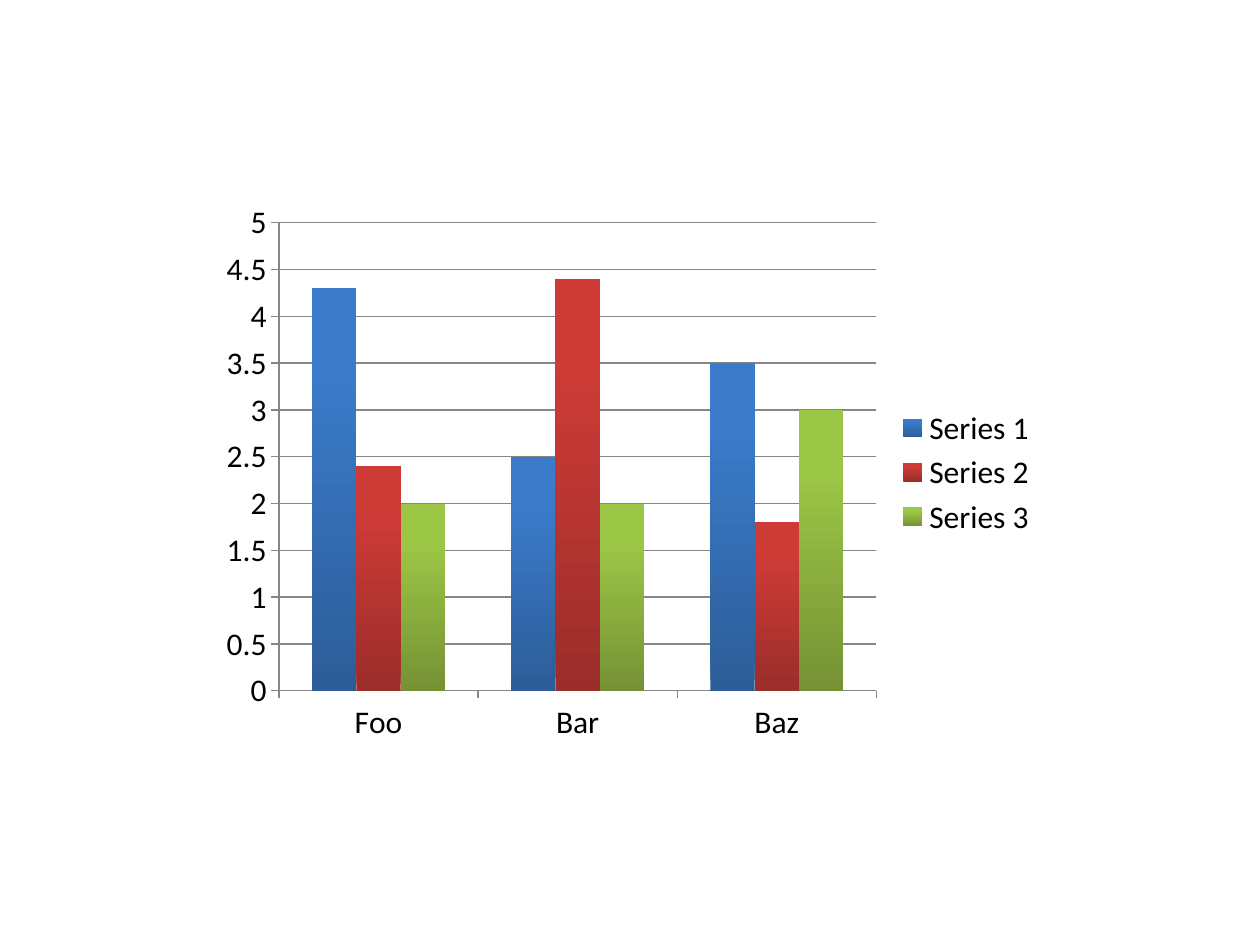
import pptx
import pptx.chart.data
import pptx.dml.color
import pptx.enum.chart
import pptx.util

Cm = pptx.util.Cm
Pt = pptx.util.Pt
RGB = pptx.dml.color.RGBColor
enums = pptx.enum.chart

BLACK = RGB(0x00, 0x00, 0x00)
GREY = RGB(0x86, 0x86, 0x86)
# Bar shades: (bottom, top)
BLUE = RGB(0x2C, 0x5D, 0x98), RGB(0x3B, 0x7B, 0xCA)
RED = RGB(0x9B, 0x2D, 0x2A), RGB(0xCE, 0x3B, 0x37)
GREEN = RGB(0x76, 0x92, 0x35), RGB(0x9C, 0xC7, 0x46)

GROUPS = ["Foo", "Bar", "Baz"]
SERIES = [
    ("Series 1", (4.3, 2.5, 3.5), BLUE),
    ("Series 2", (2.4, 4.4, 1.8), RED),
    ("Series 3", (2, 2, 3), GREEN),
]


def format_text(text, **style):
    """Set font attributes on any part that carries text."""
    color = style.pop("color", None)
    for name, value in style.items():
        setattr(text.font, name, value)
    if color is not None:
        text.font.color.rgb = color


class Deck:
    def __init__(self, width, height):
        self.prs = pptx.Presentation()
        self.prs.slide_width, self.prs.slide_height = width, height
        self.slide = self.prs.slides.add_slide(self.prs.slide_layouts[6])
        self.text = {"name": "Calibri", "size": Pt(18), "color": BLACK}

    def line(self, part):
        part.format.line.color.rgb = GREY
        part.format.line.width = Pt(0.75)

    def shade(self, bar, shades):
        fill = bar.format.fill
        fill.gradient()
        fill.gradient_angle = 90
        for stop, color, place in zip(fill.gradient_stops, shades, (0, 0.8)):
            stop.color.rgb = color
            stop.position = place

    def columns(self, left, top, width, height):
        data = pptx.chart.data.CategoryChartData()
        data.categories = GROUPS
        for name, values, _ in SERIES:
            data.add_series(name, values)
        chart = self.slide.shapes.add_chart(
            enums.XL_CHART_TYPE.COLUMN_CLUSTERED, left, top, width, height, data
        ).chart
        format_text(chart, **self.text)
        chart.has_title = False

        # Bars
        plot = chart.plots[0]
        plot.vary_by_categories = False
        plot.gap_width = 150
        for bar, (_, _, shades) in zip(plot.series, SERIES):
            self.shade(bar, shades)

        # Axes and grid
        for axis in (chart.category_axis, chart.value_axis):
            axis.major_tick_mark = enums.XL_TICK_MARK.OUTSIDE
            axis.minor_tick_mark = enums.XL_TICK_MARK.NONE
            self.line(axis)
        scale = chart.value_axis
        scale.minimum_scale, scale.maximum_scale = 0, 5
        scale.major_unit = 0.5
        scale.has_major_gridlines = True
        self.line(scale.major_gridlines)

        # Legend
        chart.has_legend = True
        chart.legend.position = enums.XL_LEGEND_POSITION.RIGHT
        chart.legend.include_in_layout = False

    def save(self):
        self.prs.save("out.pptx")


def main():
    deck = Deck(Cm(25.4), Cm(19.05))
    deck.columns(Cm(4.23), Cm(3.88), Cm(16.93), Cm(11.29))
    deck.save()


if __name__ == "__main__":
    main()
